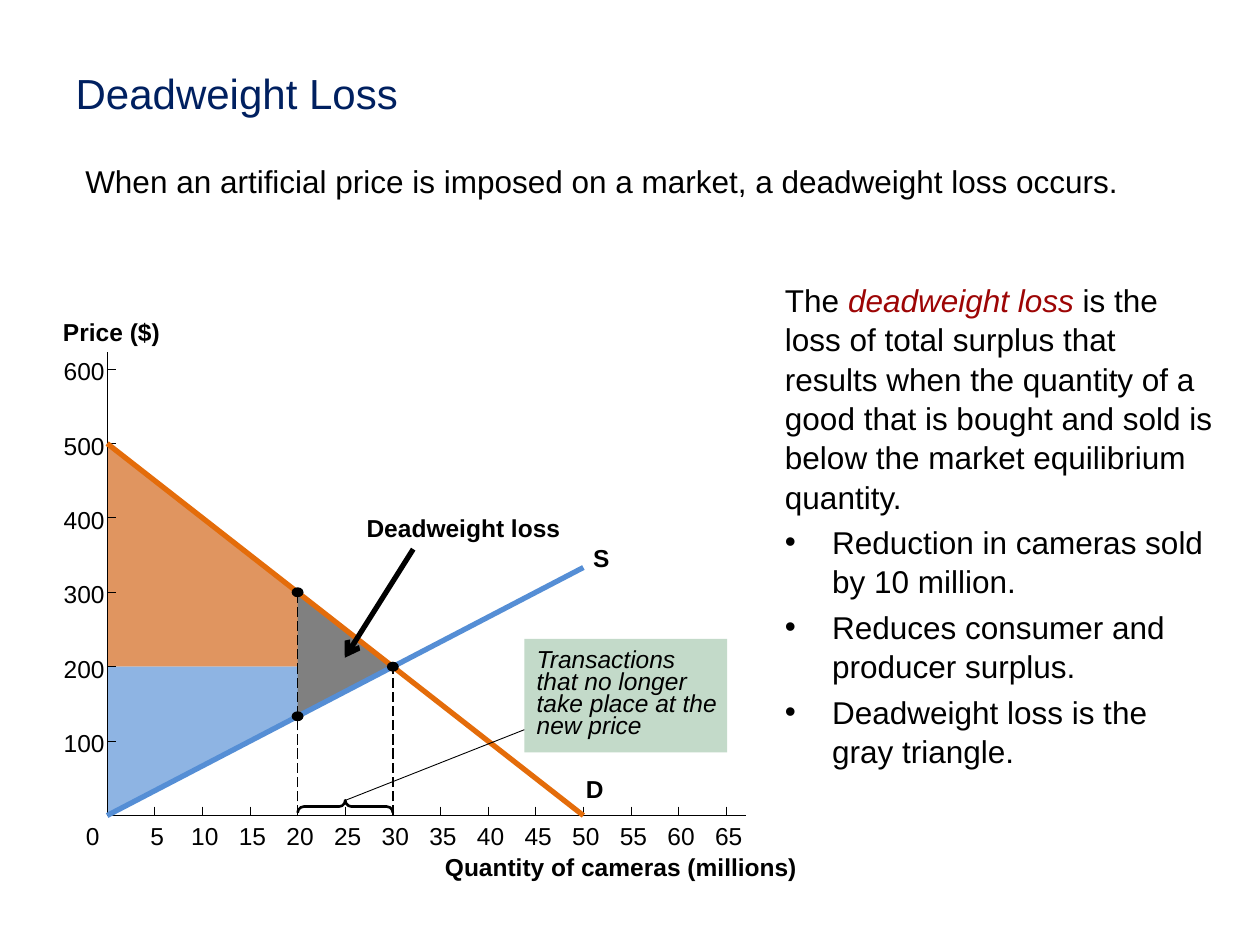
from lxml.etree import SubElement
from pptx import Presentation
from pptx.dml.color import RGBColor
from pptx.enum.dml import MSO_LINE
from pptx.enum.shapes import MSO_CONNECTOR as CONNECTOR, MSO_SHAPE as SHAPE
from pptx.enum.text import MSO_ANCHOR as ANCHOR, MSO_AUTO_SIZE as AUTO_SIZE, PP_ALIGN as ALIGN
from pptx.oxml.ns import qn
from pptx.util import Cm, Pt

COLORS = {
    "text": "000000", "title": "002060", "term": "9D0505",
    "demand": "E46C0A", "supply": "558ED5",
    "consumer": "E09560", "producer": "8EB4E3",
    "loss": "808080", "callout": "C3DAC9",
}
FONT = "Arial"
ORIGIN_X, ORIGIN_Y = 2.16, 16.44
CM_PER_5_MILLION, CM_PER_100_DOLLARS = 0.96, 1.5
TICK = 0.18
SUPPLY_AT_20, SUPPLY_AT_50 = 133.33, 333.33

BODY = [
    [("The ", "text"), ("deadweight loss ", "term"),
     ("is the loss of total surplus that results when the quantity of a good "
      "that is bought and sold is below the market equilibrium quantity.", "text")],
    [("Reduction in cameras sold by 10 million.", "text")],
    [("Reduces consumer and producer surplus.", "text")],
    [("Deadweight loss is the gray triangle.", "text")],
]


def color(name):
    return RGBColor.from_string(COLORS[name])


def at(quantity, price):
    """Turn a quantity and a price into a point in centimetres."""
    return (ORIGIN_X + quantity / 5 * CM_PER_5_MILLION,
            ORIGIN_Y - price / 100 * CM_PER_100_DOLLARS)


def place(shape, left, top, width, height):
    shape.left, shape.top = Cm(left), Cm(top)
    shape.width, shape.height = Cm(width), Cm(height)


def format_runs(paragraph, size, name="text", bold=False, italic=False):
    for run in paragraph.runs:
        font = run.font
        font.name, font.size = FONT, Pt(size)
        font.bold, font.italic = bold, italic
        font.color.rgb = color(name)


def paint(shape, name):
    shape.shadow.inherit = False
    shape.fill.solid()
    shape.fill.fore_color.rgb = color(name)
    shape.line.fill.background()


def add_title(slide):
    title = slide.shapes.title
    place(title, 1.27, 0.76, 22.86, 2.2)
    frame = title.text_frame
    frame.text = "Deadweight Loss"
    frame.auto_size = AUTO_SIZE.NONE
    frame.vertical_anchor = ANCHOR.MIDDLE
    frame.paragraphs[0].alignment = ALIGN.LEFT
    format_runs(frame.paragraphs[0], 24, "title")


def add_body(slide):
    body = slide.placeholders[1]
    place(body, 15.57, 5.51, 9.2, 11.63)
    frame = body.text_frame
    frame.auto_size = AUTO_SIZE.NONE
    for index, parts in enumerate(BODY):
        paragraph = frame.add_paragraph() if index else frame.paragraphs[0]
        paragraph.space_before = Pt(3.6)
        paragraph.line_spacing = 1.04
        for text, name in parts:
            run = paragraph.add_run()
            run.text = text
        format_runs(paragraph, 18)
        for run, (text, name) in zip(paragraph.runs, parts):
            run.font.color.rgb = color(name)
            run.font.italic = name == "term"
        set_bullet(paragraph, "•" if index else None)


def set_bullet(paragraph, character):
    properties = paragraph._p.get_or_add_pPr()
    indent = Cm(0.95) if character else 0
    properties.set("marL", str(indent))
    properties.set("indent", str(-indent))
    if character:
        SubElement(properties, qn("a:buChar")).set("char", character)
    else:
        SubElement(properties, qn("a:buNone"))


def add_label(slide, text, left, top, width, align=ALIGN.LEFT, bold=False):
    box = slide.shapes.add_textbox(Cm(left), Cm(top), Cm(width), Cm(0.61))
    frame = box.text_frame
    frame.margin_left = frame.margin_right = frame.margin_top = frame.margin_bottom = 0
    frame.word_wrap = False
    frame.text = text
    frame.paragraphs[0].alignment = align
    format_runs(frame.paragraphs[0], 14, bold=bold)


def add_line(slide, start, end, name="text", width=0.5):
    line = slide.shapes.add_connector(
        CONNECTOR.STRAIGHT, *(Cm(value) for value in (*start, *end)))
    line.line.color.rgb = color(name)
    line.line.width = Pt(width)
    SubElement(line._element.spPr, qn("a:effectLst"))
    return line


def add_area(slide, points, name):
    corners = [tuple(Cm(value) for value in at(*point)) for point in points]
    builder = slide.shapes.build_freeform(*corners[0])
    builder.add_line_segments(corners[1:], close=True)
    paint(builder.convert_to_shape(), name)


def add_dot(slide, quantity, price):
    x, y = at(quantity, price)
    dot = slide.shapes.add_shape(
        SHAPE.OVAL, Cm(x - 0.12), Cm(y - 0.1), Cm(0.24), Cm(0.2))
    paint(dot, "text")


def add_axes(slide):
    origin = at(0, 0)
    add_line(slide, origin, (ORIGIN_X, 7.09))
    add_line(slide, origin, (15.04, ORIGIN_Y))
    for quantity in range(5, 70, 5):
        x, y = at(quantity, 0)
        add_line(slide, (x, y - TICK), (x, y))
        add_label(slide, str(quantity), x - 0.25, 16.56, 0.6, ALIGN.CENTER)
    for price in range(100, 700, 100):
        x, y = at(0, price)
        add_line(slide, (x, y), (x + TICK, y))
        add_label(slide, str(price), 1.27, y - 0.26, 0.84, ALIGN.RIGHT)
    add_label(slide, "0", 1.73, 16.56, 0.28)
    add_label(slide, "Price ($)", 1.27, 6.4, 1.96, bold=True)
    add_label(slide, "Quantity of cameras (millions)", 8.97, 17.17, 7.11, bold=True)


def add_curves(slide):
    add_line(slide, at(0, 500), at(50, 0), "demand", 3)
    add_line(slide, at(0, 0), at(50, SUPPLY_AT_50), "supply", 3)
    add_label(slide, "D", 11.81, 15.6, 0.36, bold=True)
    add_label(slide, "S", 11.96, 10.95, 0.33, bold=True)
    for quantity, price in ((20, 300), (30, 200)):
        dashes = add_line(slide, at(quantity, 0), at(quantity, price), width=0.75)
        dashes.line.dash_style = MSO_LINE.LONG_DASH
    for point in ((20, 300), (20, SUPPLY_AT_20), (30, 200)):
        add_dot(slide, *point)


def add_brace(slide):
    """Mark the lost quantity with a brace that points up."""
    span, depth = 2 * CM_PER_5_MILLION, 0.25
    x, y = at(25, 0)[0], 16.26
    brace = slide.shapes.add_shape(
        SHAPE.LEFT_BRACE, Cm(x - depth / 2), Cm(y - span / 2), Cm(depth), Cm(span))
    brace.rotation = 90
    brace.adjustments[0] = 0.5
    brace.shadow.inherit = False
    brace.fill.background()
    brace.line.color.rgb = color("text")
    brace.line.width = Pt(1.5)
    add_line(slide, (x, y - depth / 2), (10.57, 14.71))


def add_callout(slide):
    box = slide.shapes.add_shape(SHAPE.RECTANGLE, Cm(10.57), Cm(12.88), Cm(4.09), Cm(2.29))
    paint(box, "callout")
    frame = box.text_frame
    frame.margin_left, frame.margin_right = Cm(0.25), 0
    frame.word_wrap = True
    frame.vertical_anchor = ANCHOR.MIDDLE
    frame.text = "Transactions\vthat no longer\vtake place at the\vnew price"
    paragraph = frame.paragraphs[0]
    paragraph.alignment = ALIGN.LEFT
    paragraph.line_spacing = Pt(12.5)
    format_runs(paragraph, 14, italic=True)


def add_loss_arrow(slide):
    add_label(slide, "Deadweight loss", 7.39, 10.34, 3.91, bold=True)
    arrow = add_line(slide, (8.33, 11.07), (6.95, 13.26), width=3)
    head = SubElement(arrow.line._get_or_add_ln(), qn("a:tailEnd"))
    head.set("type", "arrow")


def add_intro(slide):
    box = slide.shapes.add_textbox(Cm(1.47), Cm(3.15), Cm(23.29), Cm(1.02))
    box.text_frame.word_wrap = True
    box.text_frame.text = (
        "When an artificial price is imposed on a market, a deadweight loss occurs.")
    format_runs(box.text_frame.paragraphs[0], 18)


def main():
    presentation = Presentation()
    presentation.slide_width, presentation.slide_height = Cm(25.4), Cm(19.05)
    slide = presentation.slides.add_slide(presentation.slide_layouts[1])
    add_title(slide)
    add_body(slide)
    add_area(slide, [(0, 500), (30, 200), (0, 200)], "consumer")
    add_area(slide, [(30, 200), (0, 200), (0, 0)], "producer")
    add_area(slide, [(20, 300), (20, SUPPLY_AT_20), (30, 200)], "loss")
    add_axes(slide)
    add_curves(slide)
    add_callout(slide)
    add_brace(slide)
    add_loss_arrow(slide)
    add_intro(slide)
    presentation.save("out.pptx")


if __name__ == "__main__":
    main()
